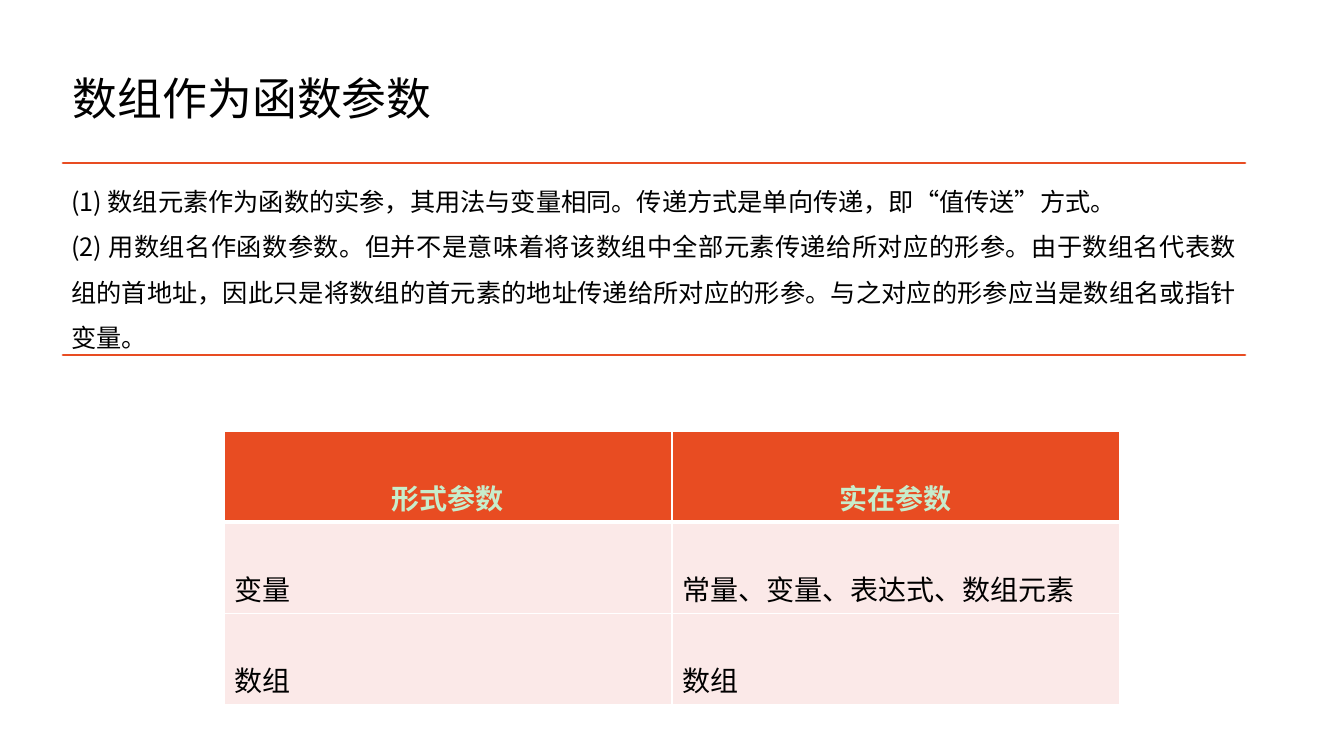
import pptx
import pptx.dml.color
import pptx.enum.text
import pptx.oxml.ns
import pptx.util
from lxml import etree

EMU_PER_PX = 914400 / 100.8
FONT = "Noto Sans CJK SC"
ORANGE, PINK, MINT = "E84C22", "FBE9E8", "C7EDCC"
WHITE, BLACK = "FFFFFF", "000000"
ALIGN = pptx.enum.text.PP_ALIGN
ANCHOR = pptx.enum.text.MSO_ANCHOR

RULES = [
    "(1) 数组元素作为函数的实参，其用法与变量相同。传递方式是单向传递，即“值传送”方式。",
    "(2) 用数组名作函数参数。但并不是意味着将该数组中全部元素传递给所对应的形参。"
    "由于数组名代表数组的首地址，因此只是将数组的首元素的地址传递给所对应的形参。"
    "与之对应的形参应当是数组名或指针变量。",
]
PARAMETERS = [
    ["形式参数", "实在参数"],
    ["变量", "常量、变量、表达式、数组元素"],
    ["数组", "数组"],
]


def px(length):
    return pptx.util.Emu(round(length * EMU_PER_PX))


def color(value):
    return pptx.dml.color.RGBColor.from_string(value)


def add_element(parent, tag, **attributes):
    return etree.SubElement(parent, pptx.oxml.ns.qn(tag), attributes)


def write(frame, lines, size, spacing, align=ALIGN.LEFT, ink=BLACK, bold=False):
    frame.word_wrap = True
    for index, line in enumerate(lines):
        paragraph = frame.add_paragraph() if index else frame.paragraphs[0]
        paragraph.text = line
        paragraph.alignment = align
        paragraph.line_spacing = spacing
        font = paragraph.font
        font.size = pptx.util.Pt(size)
        font.bold = bold
        font.color.rgb = color(ink)
        font.name = FONT
        # East Asian glyphs take their own typeface entry
        defaults = paragraph._p.pPr.find(pptx.oxml.ns.qn("a:defRPr"))
        add_element(defaults, "a:ea", typeface=FONT)


def add_title(slide, left, top, width, height, title):
    frame = slide.shapes.add_textbox(px(left), px(top), px(width), px(height)).text_frame
    frame.vertical_anchor = ANCHOR.MIDDLE
    write(frame, [title], 32, 0.9)


def add_ruled_text(slide, left, top, right, bottom, lines):
    """Text between two dividers that belong to one outline."""
    outline = slide.shapes.build_freeform(left, bottom, scale=EMU_PER_PX)
    outline.add_line_segments([(right, bottom)], close=True)
    outline.move_to(left, top)
    outline.add_line_segments([(right, top)], close=True)
    panel = outline.convert_to_shape()
    panel.shadow.inherit = False
    panel.fill.background()
    panel.line.color.rgb = color(ORANGE)
    panel.line.width = pptx.util.Pt(2)
    frame = panel.text_frame
    frame.vertical_anchor = ANCHOR.TOP
    frame.margin_left = frame.margin_right = px(8)
    frame.margin_top = frame.margin_bottom = px(8)
    write(frame, lines, 18, 1.5, ALIGN.JUSTIFY)


def set_borders(cell, widths):
    properties = cell._tc.get_or_add_tcPr()
    for position, (side, width) in enumerate(widths.items()):
        border = etree.Element(pptx.oxml.ns.qn(f"a:ln{side}"), w=str(pptx.util.Pt(width)))
        fill = add_element(border, "a:solidFill")
        add_element(fill, "a:srgbClr", val=WHITE)
        properties.insert(position, border)


def add_parameter_table(slide, left, top, width, height):
    table = slide.shapes.add_table(
        len(PARAMETERS), len(PARAMETERS[0]),
        px(left), px(top), px(width), px(height)).table
    for row, entries in enumerate(PARAMETERS):
        header = row == 0
        for column, entry in enumerate(entries):
            cell = table.cell(row, column)
            cell.vertical_anchor = ANCHOR.MIDDLE
            cell.fill.solid()
            cell.fill.fore_color.rgb = color(ORANGE if header else PINK)
            set_borders(cell, {"L": 1, "R": 1, "T": 3 if row == 1 else 1,
                               "B": 3 if header else 1})
            write(cell.text_frame, [entry], 20, 2.0,
                  ALIGN.CENTER if header else ALIGN.LEFT,
                  MINT if header else BLACK, header)


def main():
    deck = pptx.Presentation()
    deck.slide_width, deck.slide_height = px(1344), px(756)
    slide = deck.slides.add_slide(deck.slide_layouts[6])
    slide.background.fill.solid()
    slide.background.fill.fore_color.rgb = color(WHITE)

    # Title
    add_title(slide, 63, 28, 1159, 146, "数组作为函数参数")

    # Rules between two dividers
    add_ruled_text(slide, 63, 163, 1245, 355, RULES)

    # Formal and actual parameters
    add_parameter_table(slide, 224, 431, 896, 274)

    deck.save("out.pptx")


if __name__ == "__main__":
    main()
